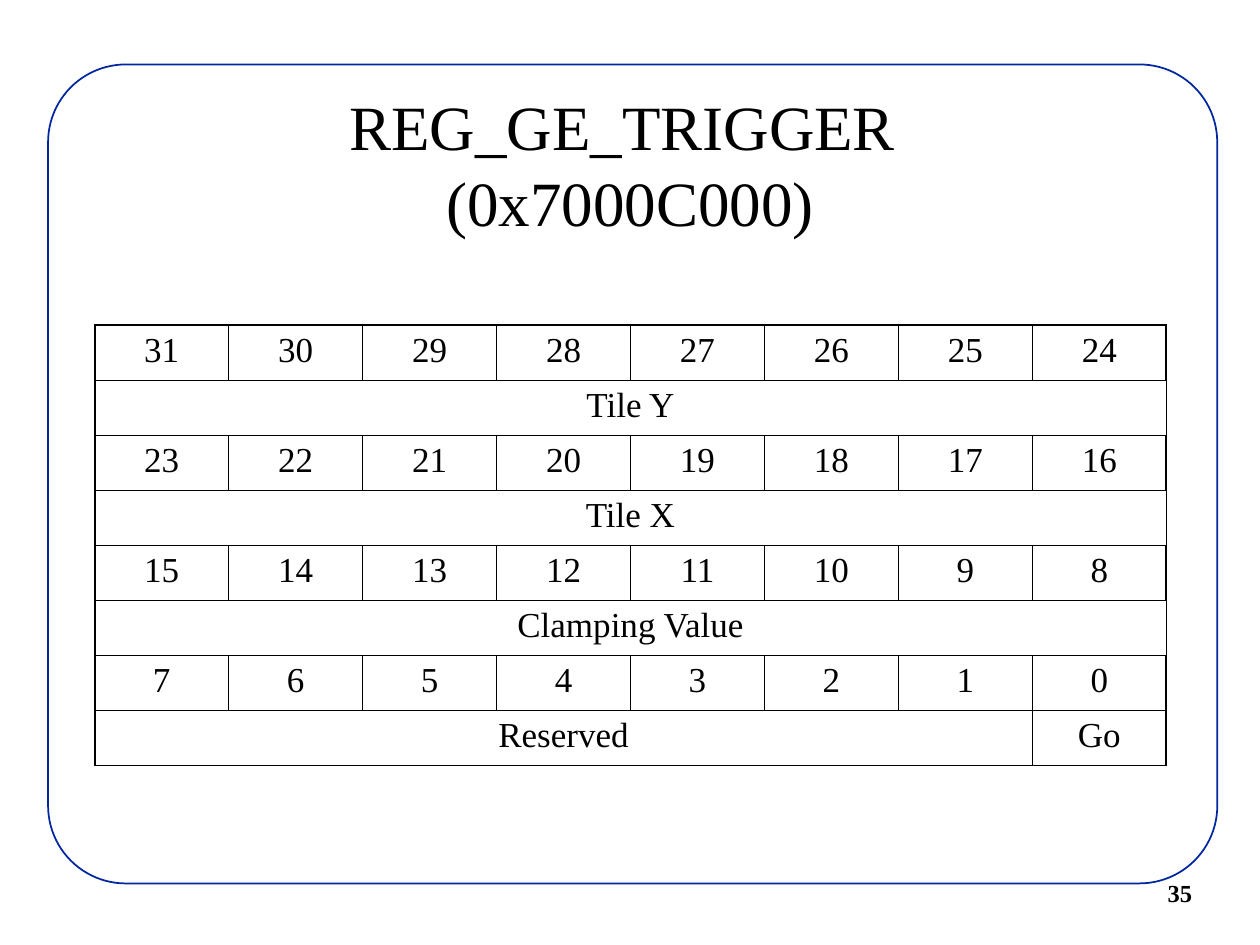
from pptx import Presentation
from pptx.dml.color import RGBColor
from pptx.enum.shapes import MSO_SHAPE
from pptx.enum.text import MSO_ANCHOR, PP_ALIGN
from pptx.oxml import parse_xml
from pptx.oxml.ns import nsdecls
from pptx.util import Cm, Pt

TITLE = "REG_GE_TRIGGER \v(0x7000C000)"
PAGE = "35"
# Each byte, highest first: (label, width in bits)
FIELDS = [
    [("Tile Y", 8)],
    [("Tile X", 8)],
    [("Clamping Value", 8)],
    [("Reserved", 7), ("Go", 1)],
]
BITS = 8
ROWS = 2 * len(FIELDS)
COL, ROW = 2.7, 1.11
BLACK, WHITE, BLUE = "000000", "FFFFFF", "00279F"
THIN, THICK = 0.45, 1.08


def rgb(code):
    return RGBColor.from_string(code)


def write(frame, text, size, align=PP_ALIGN.CENTER, bold=False):
    frame.text = text
    para = frame.paragraphs[0]
    para.alignment = align
    look = {"name": "Times New Roman", "size": Pt(size), "bold": bold}
    for run in para.runs:
        for key, value in look.items():
            setattr(run.font, key, value)
        run.font.color.rgb = rgb(BLACK)


def add_text(slide, box, text, size, wrap=True, **style):
    frame = slide.shapes.add_textbox(*map(Cm, box)).text_frame
    frame.word_wrap = wrap
    write(frame, text, size, **style)
    return frame


def rule(cell, row, col):
    """Draw the cell borders, thicker on the outer edge of the table."""
    edges = {"L": col == 0, "R": col == BITS - 1,
             "T": row == 0, "B": row == ROWS - 1}
    props = cell._tc.get_or_add_tcPr()
    for place, (side, outer) in enumerate(edges.items()):
        width = Pt(THICK if outer else THIN)
        props.insert(place, parse_xml(
            f'<a:ln{side} {nsdecls("a")} w="{width}"><a:solidFill>'
            f'<a:srgbClr val="{BLACK}"/></a:solidFill></a:ln{side}>'))


def add_frame(slide):
    box = map(Cm, (0.97, 1.3, 23.57, 16.51))
    frame = slide.shapes.add_shape(MSO_SHAPE.ROUNDED_RECTANGLE, *box)
    frame.adjustments[0] = 0.095
    frame.shadow.inherit = False
    frame.fill.solid()
    frame.fill.fore_color.rgb = rgb(WHITE)
    frame.line.color.rgb = rgb(BLUE)
    frame.line.width = Pt(1)


def add_map(slide):
    box = map(Cm, (1.91, 6.55, COL * BITS, ROW * ROWS))
    table = slide.shapes.add_table(ROWS, BITS, *box).table
    table.first_row = table.horz_banding = False
    for col in table.columns:
        col.width = Cm(COL)
    for row in table.rows:
        row.height = Cm(ROW)
    for r in range(ROWS):
        for c in range(BITS):
            cell = table.cell(r, c)
            cell.fill.background()
            rule(cell, r, c)

    top = BITS * len(FIELDS) - 1
    for i, fields in enumerate(FIELDS):
        for c in range(BITS):
            write(table.cell(2 * i, c).text_frame, str(top - i * BITS - c), 20)
        start = 0
        for label, bits in fields:
            cell = table.cell(2 * i + 1, start)
            if bits > 1:
                cell.merge(table.cell(2 * i + 1, start + bits - 1))
            write(cell.text_frame, label, 20)
            start += bits


def main():
    deck = Presentation()
    deck.slide_width, deck.slide_height = Cm(25.4), Cm(19.05)
    slide = deck.slides.add_slide(deck.slide_layouts[6])
    add_frame(slide)
    add_text(slide, (23.29, 17.58, 2.74, 0.84), PAGE, 14, wrap=False,
             align=PP_ALIGN.LEFT, bold=True)
    title = add_text(slide, (1.91, 1.7, 21.59, 3.18), TITLE, 36)
    title.vertical_anchor = MSO_ANCHOR.MIDDLE
    add_map(slide)
    deck.save("out.pptx")


if __name__ == "__main__":
    main()
